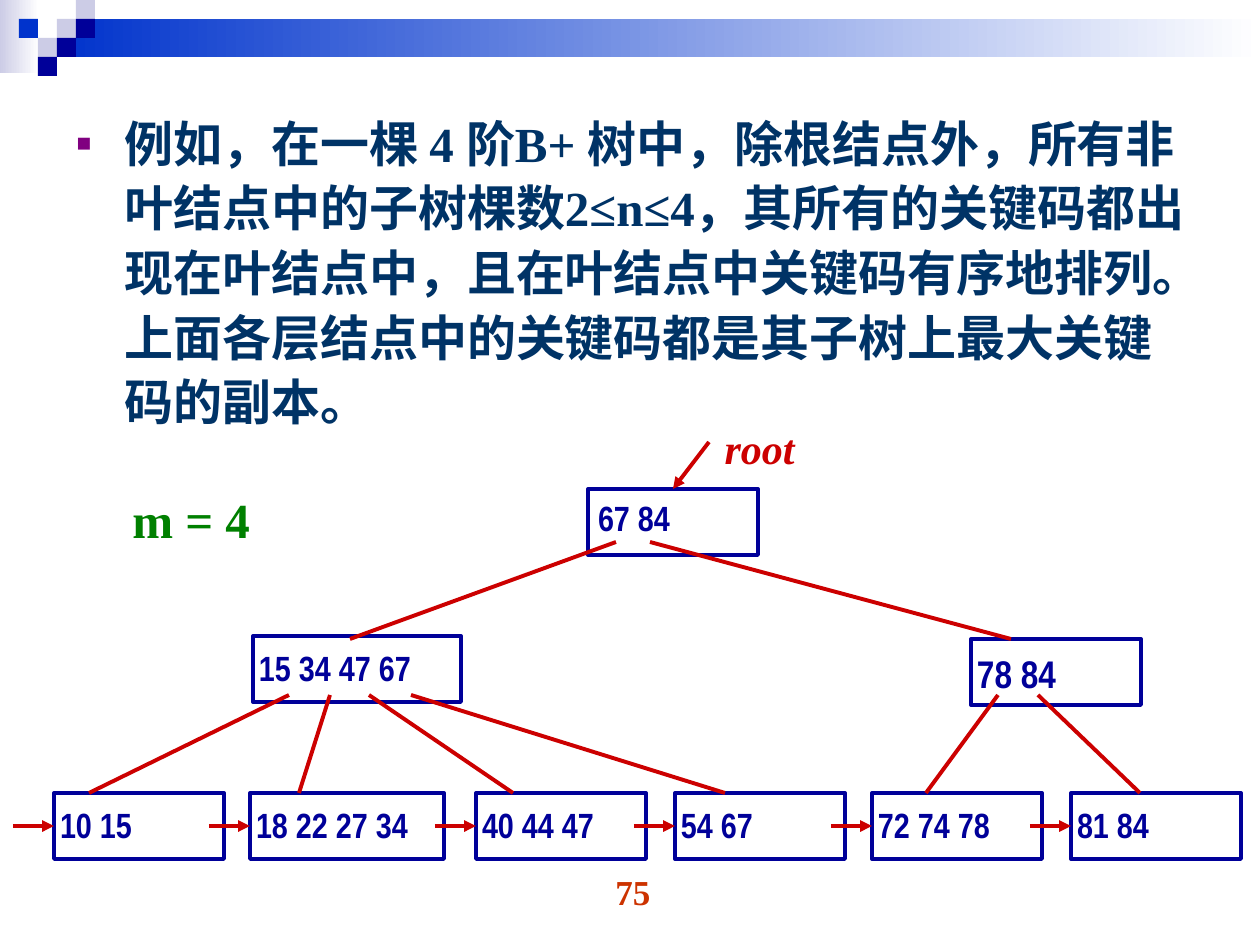
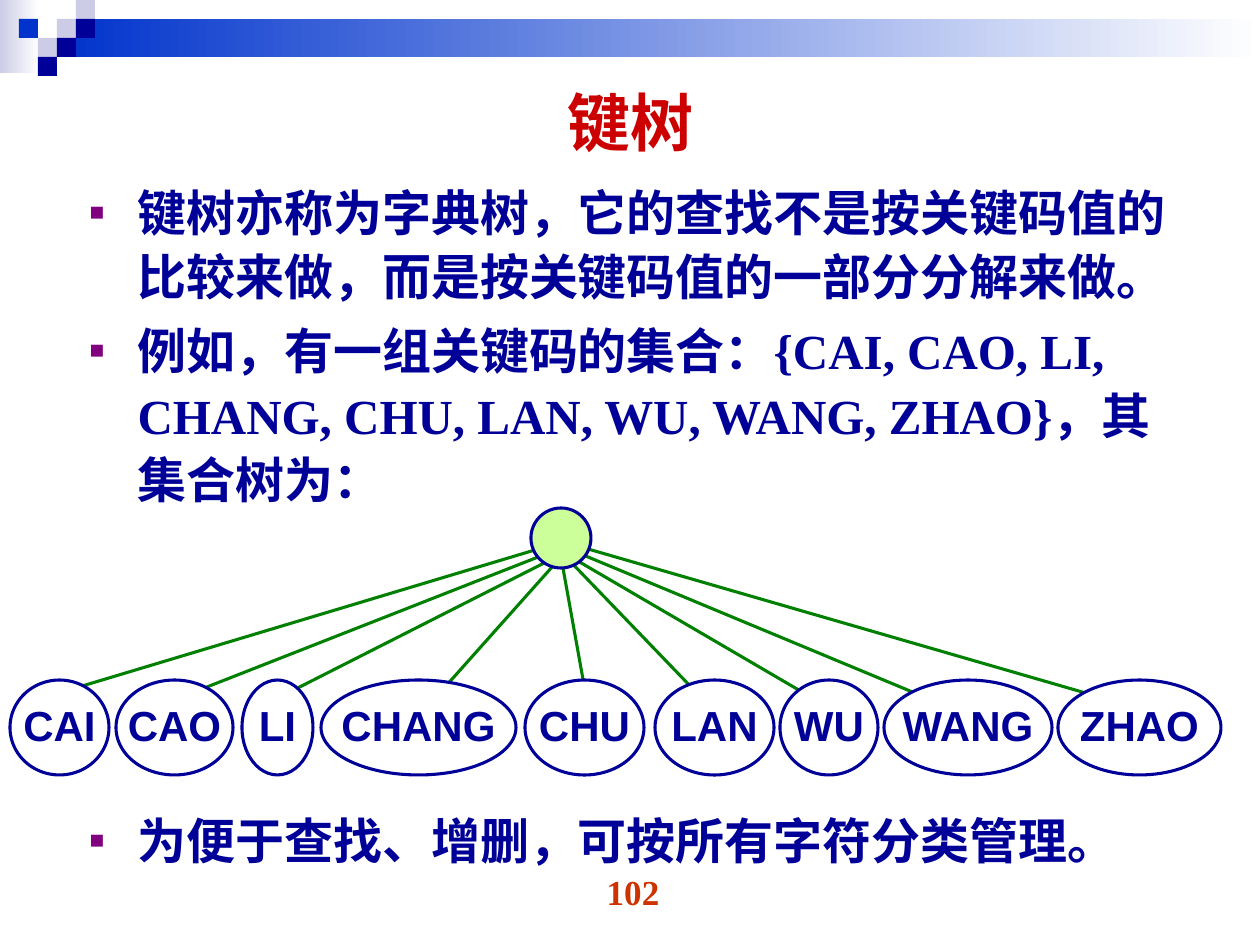
from lxml.etree import SubElement
from pptx import Presentation
from pptx.dml.color import RGBColor
from pptx.enum.shapes import MSO_CONNECTOR, MSO_SHAPE
from pptx.enum.text import MSO_ANCHOR as ANCHOR, MSO_AUTO_SIZE, PP_ALIGN as ALIGN
from pptx.oxml.ns import qn
from pptx.util import Emu, Pt

# Colours
WHITE = RGBColor(0xFF, 0xFF, 0xFF)
LAVENDER = RGBColor(0xCC, 0xCC, 0xE6)
BLUE = RGBColor(0x00, 0x33, 0xCC)
NAVY = RGBColor(0x00, 0x00, 0x99)
SLATE = RGBColor(0x00, 0x33, 0x66)
RED = RGBColor(0xCC, 0x00, 0x00)
ORANGE = RGBColor(0xCC, 0x33, 0x00)
GREEN = RGBColor(0x00, 0x80, 0x00)
LIME = RGBColor(0xCC, 0xFF, 0x99)
PURPLE = "800080"

# Text formats
CJK = "Noto Sans CJK SC"
SERIF = "Times New Roman"
TITLE = dict(name=CJK, size=Pt(36), bold=True)
BODY = dict(name=SERIF, size=Pt(28), bold=True)
PAGE = dict(name=SERIF, size=Pt(20), bold=True)
POINTER = dict(name=SERIF, size=Pt(24), bold=True, italic=True)
NODE = dict(name="Arial Narrow", size=Pt(20), bold=True)
WIDE_NODE = {**NODE, "size": Pt(22)}
KEY = dict(name="Arial", size=Pt(24), bold=True)

# Shared measures, in px
SLIDE_W, SLIDE_H = 1260, 945
CELL = 19
NODE_H = 66
LEAF_Y = 793
KEY_Y, KEY_H = 680, 95
HANGING = 48


def px(length):
    return Emu(round(length * 914400 / 126))


def box(*lengths):
    return [px(length) for length in lengths]


def set_all(target, values):
    for attribute, value in values.items():
        setattr(target, attribute, value)


def write(paragraph, text, style, color):
    run = paragraph.add_run()
    run.text = text
    set_all(run.font, style)
    run.font.color.rgb = color
    SubElement(run.font._element, qn("a:ea"), typeface=CJK)


def add_label(slide, area, text, style, color, align=ALIGN.LEFT, wrap=True):
    frame = slide.shapes.add_textbox(*box(*area)).text_frame
    frame.word_wrap = wrap
    frame.paragraphs[0].alignment = align
    write(frame.paragraphs[0], text, style, color)


def add_figure(slide, preset, area, fill=None, line=None, width=1.75):
    figure = slide.shapes.add_shape(preset, *box(*area))
    figure.shadow.inherit = False
    if fill is None:
        figure.fill.background()
    else:
        figure.fill.solid()
        figure.fill.fore_color.rgb = fill
    if line is None:
        figure.line.fill.background()
    else:
        figure.line.color.rgb = line
        figure.line.width = Pt(width)
    return figure


def add_fade(slide, area, color):
    fade = add_figure(slide, MSO_SHAPE.RECTANGLE, area)
    fade.fill.gradient()
    fade.fill.gradient_angle = 0
    for stop, stop_color, position in zip(fade.fill.gradient_stops, (color, WHITE), (0, 1)):
        stop.color.rgb = stop_color
        stop.position = position


def add_line(slide, start, end, color, width=2.25, arrow=False):
    line = slide.shapes.add_connector(MSO_CONNECTOR.STRAIGHT, *box(*start, *end))
    line.line.color.rgb = color
    line.line.width = Pt(width)
    if arrow:
        SubElement(line.line._get_or_add_ln(), qn("a:tailEnd"), type="triangle")
    SubElement(line._element.spPr, qn("a:effectLst"))
    return line


def add_node(slide, left, top, width, keys, style=NODE, inset=(6, 11)):
    node = add_figure(slide, MSO_SHAPE.RECTANGLE, (left, top, width, NODE_H),
                      line=NAVY, width=2.25)
    frame = node.text_frame
    set_all(frame, dict(word_wrap=False, vertical_anchor=ANCHOR.TOP,
                        margin_left=px(inset[0]), margin_top=px(inset[1]),
                        margin_right=0, margin_bottom=0))
    frame.paragraphs[0].alignment = ALIGN.LEFT
    write(frame.paragraphs[0], keys, style, NAVY)
    return node


def add_branches(slide, top, bottom, spans):
    for parent_x, child_x in spans:
        add_line(slide, (parent_x, top), (child_x, bottom), RED)


def add_key(slide, left, width, text):
    oval = add_figure(slide, MSO_SHAPE.OVAL, (left, KEY_Y, width, KEY_H), WHITE, NAVY)
    frame = oval.text_frame
    set_all(frame, dict(word_wrap=False, vertical_anchor=ANCHOR.MIDDLE, margin_left=0,
                        margin_right=0, margin_top=0, margin_bottom=px(6)))
    frame.paragraphs[0].alignment = ALIGN.CENTER
    write(frame.paragraphs[0], text, KEY, NAVY)


def place(placeholder, area):
    set_all(placeholder, dict(zip(("left", "top", "width", "height"), box(*area))))
    placeholder.text_frame.auto_size = MSO_AUTO_SIZE.NONE
    return placeholder.text_frame


def fill_title(slide, text):
    frame = place(slide.shapes.title, (63, 63, 1134, 117))
    frame.vertical_anchor = ANCHOR.MIDDLE
    frame.paragraphs[0].alignment = ALIGN.CENTER
    write(frame.paragraphs[0], text, TITLE, RED)


def fill_body(slide, area, items, color):
    """items holds pairs of text and space before in points."""
    frame = place(slide.placeholders[1], area)
    frame.vertical_anchor = ANCHOR.TOP
    for index, (text, gap) in enumerate(items):
        paragraph = frame.add_paragraph() if index else frame.paragraphs[0]
        set_all(paragraph, dict(line_spacing=1.1, space_before=Pt(gap), alignment=ALIGN.LEFT))
        props = paragraph._element.get_or_add_pPr()
        props.set("marL", str(px(HANGING)))
        props.set("indent", str(-px(HANGING)))
        SubElement(SubElement(props, qn("a:buClr")), qn("a:srgbClr"), val=PURPLE)
        SubElement(props, qn("a:buSzPct"), val="50000")
        SubElement(props, qn("a:buFont"), typeface="Arial")
        SubElement(props, qn("a:buChar"), char="■")
        write(paragraph, text, BODY, color)


def add_page(deck, number):
    slide = deck.slides.add_slide(deck.slide_layouts[1])
    # Header band with its checker of squares
    add_fade(slide, (0, 0, 39, 73), LAVENDER)
    add_fade(slide, (3 * CELL, CELL, SLIDE_W - 3 * CELL, 2 * CELL), BLUE)
    for column, row, color in ((3, 1, LAVENDER), (4, 0, LAVENDER), (4, 1, NAVY),
                               (2, 2, LAVENDER), (1, 1, BLUE), (3, 2, NAVY), (2, 3, NAVY)):
        add_figure(slide, MSO_SHAPE.RECTANGLE, (column * CELL, row * CELL, CELL, CELL), color)
    # Page number
    add_label(slide, (486, 864, 294, 66), number, PAGE, ORANGE, ALIGN.CENTER)
    return slide


def build_bplus_tree(deck):
    slide = add_page(deck, "75")
    heading = slide.shapes.title._element
    heading.getparent().remove(heading)
    fill_body(slide, (64, 101, 1134, 779), [
        ("例如，在一棵 4 阶B+ 树中，除根结点外，所有非叶结点中的子树棵数2≤n≤4，"
         "其所有的关键码都出现在叶结点中，且在叶结点中关键码有序地排列。"
         "上面各层结点中的关键码都是其子树上最大关键码的副本。", 0)], SLATE)
    add_label(slide, (120, 483, 215, 88), "m = 4", BODY, GREEN)

    # Linked leaves
    for left, width, keys in ((54, 170, "10 15"), (250, 194, "18 22 27 34"),
                              (476, 170, "40 44 47"), (675, 170, "54 67"),
                              (872, 170, "72 74 78"), (1071, 170, "81 84")):
        leaf = add_node(slide, left, LEAF_Y, width, keys)
        middle = LEAF_Y + NODE_H // 2
        link = add_line(slide, (left - 41, middle), (left, middle), RED, arrow=True)
        link.end_connect(leaf, 1)

    # Inner nodes and root
    add_node(slide, 253, 636, 208, "15 34 47 67")
    add_node(slide, 971, 639, 170, "78 84", WIDE_NODE)
    root = add_node(slide, 588, 489, 170, "67 84", inset=(10, 8))
    add_branches(slide, 695, LEAF_Y, ((289, 89), (330, 299), (369, 513), (411, 725),
                                      (998, 926), (1038, 1140)))
    add_branches(slide, 542, 639, ((616, 350), (650, 1011)))
    pointer = add_line(slide, (709, 442), (668, 489), RED, arrow=True)
    pointer.end_connect(root, 0)
    add_label(slide, (712, 416, 95, 63), "root", POINTER, RED, ALIGN.CENTER, wrap=False)


def build_key_tree(deck):
    slide = add_page(deck, "102")
    fill_title(slide, "键树")
    fill_body(slide, (77, 170, 1134, 714), [
        ("键树亦称为字典树，它的查找不是按关键码值的比较来做，"
         "而是按关键码值的一部分分解来做。", 0),
        ("例如，有一组关键码的集合：{CAI, CAO, LI, CHANG, CHU, LAN, WU, WANG, ZHAO}，"
         "其集合树为：", 5.2),
        ("为便于查找、增删，可按所有字符分类管理。", 169)], NAVY)

    # Each key: left, width, then both ends of its spoke
    keys = {
        "CAI": (10, 99, (545, 547), (69, 690)),
        "CAO": (116, 117, (551, 552), (184, 696)),
        "LI": (242, 71, (556, 557), (282, 696)),
        "CHANG": (321, 195, (561, 557), (437, 696)),
        "CHU": (525, 119, (561, 557), (586, 696)),
        "LAN": (655, 119, (566, 557), (694, 690)),
        "WU": (780, 98, (571, 557), (809, 696)),
        "WANG": (884, 168, (576, 552), (922, 696)),
        "ZHAO": (1058, 163, (581, 547), (1096, 696)),
    }
    for _, _, hub_end, key_end in keys.values():
        add_line(slide, hub_end, key_end, GREEN, 1.75)
    for text, (left, width, _, _) in keys.items():
        add_key(slide, left, width, text)
    add_figure(slide, MSO_SHAPE.OVAL, (531, 508, 60, 60), LIME, NAVY)


def main():
    deck = Presentation()
    deck.slide_width, deck.slide_height = box(SLIDE_W, SLIDE_H)
    build_bplus_tree(deck)
    build_key_tree(deck)
    deck.save("out.pptx")


if __name__ == "__main__":
    main()
